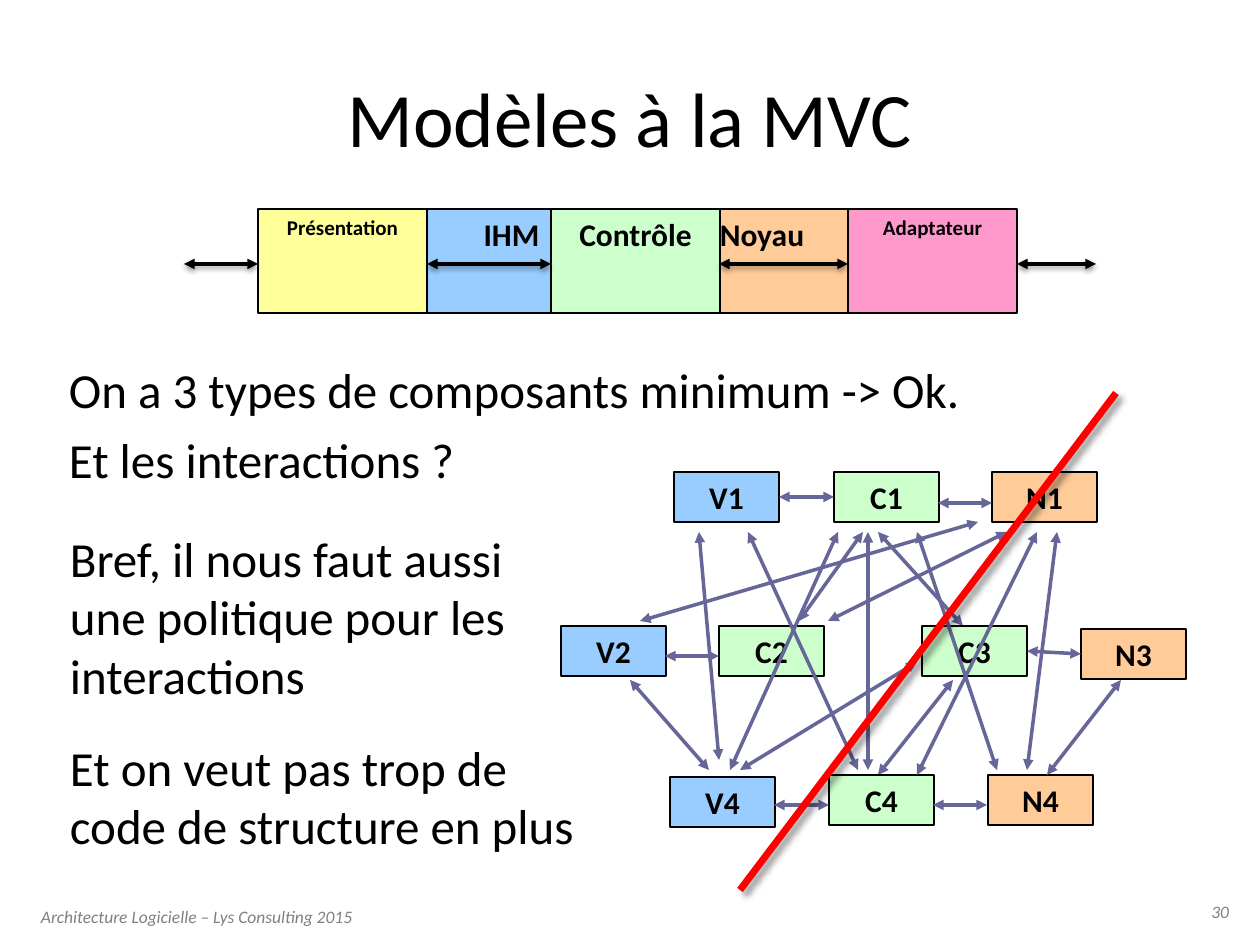
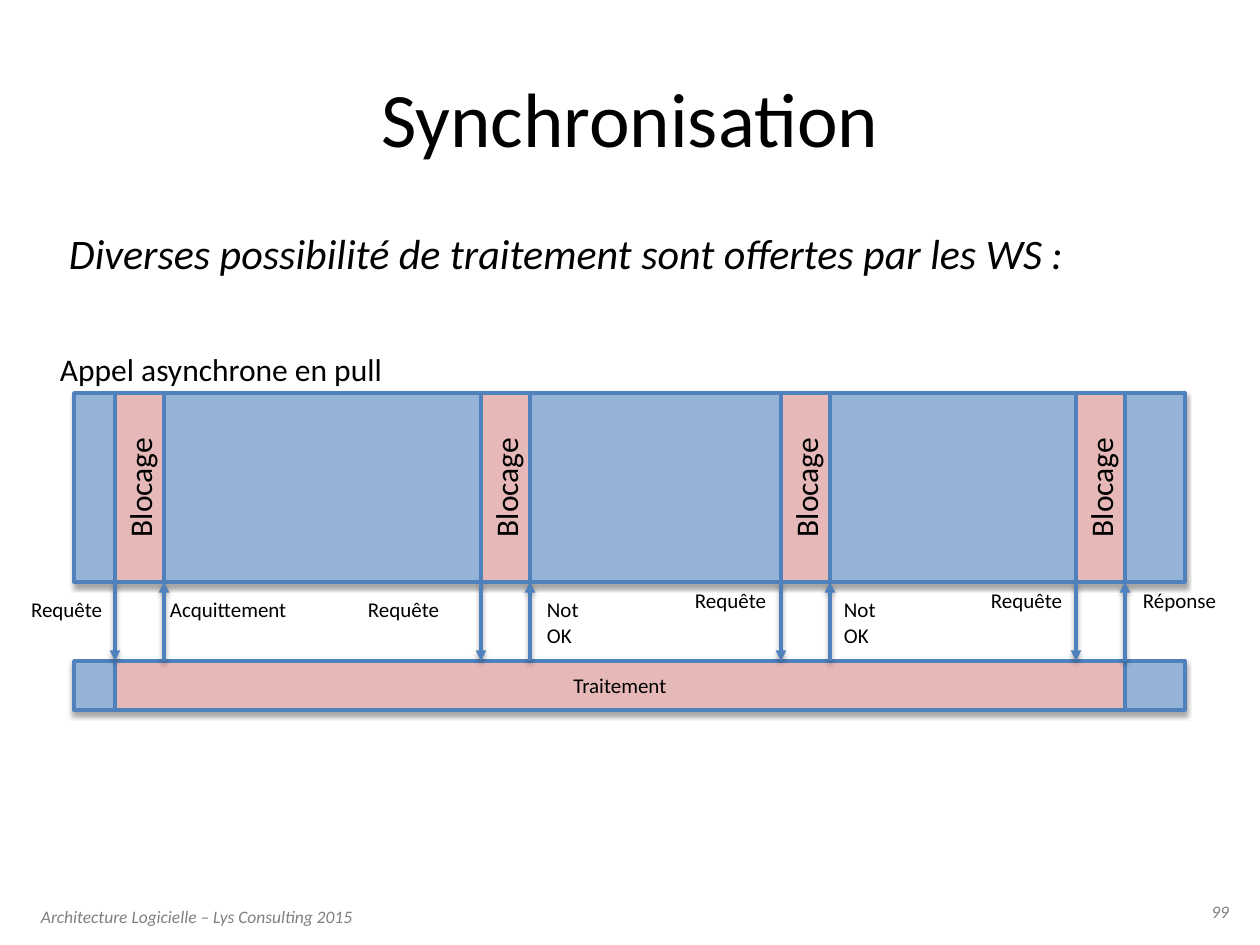
from lxml.etree import SubElement
from pptx import Presentation
from pptx.dml.color import RGBColor
from pptx.enum.shapes import MSO_CONNECTOR, MSO_SHAPE
from pptx.enum.text import MSO_ANCHOR, PP_ALIGN
from pptx.oxml.ns import qn
from pptx.util import Emu, Pt

EMU_PER_PX = 914400 / 126
FONT = "Calibri"
BLACK, GREY, RED = "000000", "808080", "FF0000"
YELLOW, BLUE, GREEN, ORANGE, PINK = "FFFF99", "99CCFF", "CCFFCC", "FFCC99", "FF99CC"
PURPLE = "666699"
STEEL, STEEL_LINE, ROSE = "95B3D7", "4F81BD", "E6B9B8"

# Shadows: opacity in percent, blur and distance in points, angle in degrees
ARROW_SHADOW = (38, 3, 1.6, 90)
STRIKE_SHADOW = (40, 4, 3, 45)
BAND_SHADOW = (35, 3, 1.8, 90)

RIGHT_SIDE, LEFT_SIDE = 3, 1


def px(length):
    return Emu(round(length * EMU_PER_PX))


def color(hex_string):
    return RGBColor.from_string(hex_string)


def write(frame, lines, size, tint=BLACK, bold=False, italic=False,
          align=PP_ALIGN.LEFT, anchor=MSO_ANCHOR.TOP, gap=0, inset=6):
    """Fill a text frame with one paragraph per line; gap is the space between them."""
    frame.word_wrap = True
    frame.vertical_anchor = anchor
    frame.margin_left = frame.margin_right = px(inset)
    frame.margin_top = frame.margin_bottom = px(inset)
    for index, line in enumerate(lines):
        paragraph = frame.add_paragraph() if index else frame.paragraphs[0]
        paragraph.alignment = align
        if index:
            paragraph.space_before = Pt(gap)
        run = paragraph.add_run()
        run.text = line
        run.font.name = FONT
        run.font.size = Pt(size)
        run.font.bold = bold
        run.font.italic = italic
        run.font.color.rgb = color(tint)


def add_text(slide, x, y, width, height, lines, size, **style):
    box = slide.shapes.add_textbox(px(x), px(y), px(width), px(height))
    write(box.text_frame, lines, size, **style)


def cast_shadow(effects, opacity, blur, distance, angle):
    shadow = SubElement(effects, qn("a:outerShdw"), blurRad=str(Pt(blur)),
                        dist=str(Pt(distance)), dir=str(angle * 60000),
                        algn="ctr", rotWithShape="0")
    tint = SubElement(shadow, qn("a:srgbClr"), val=BLACK)
    SubElement(tint, qn("a:alpha"), val=str(opacity * 1000))


def add_rect(slide, x, y, width, height, fill, line=BLACK, weight=0.75, shadow=None):
    rect = slide.shapes.add_shape(MSO_SHAPE.RECTANGLE, px(x), px(y), px(width), px(height))
    rect.fill.solid()
    rect.fill.fore_color.rgb = color(fill)
    rect.line.color.rgb = color(line)
    rect.line.width = Pt(weight)
    rect.shadow.inherit = False
    if shadow:
        cast_shadow(rect.element.spPr.find(qn("a:effectLst")), *shadow)
    return rect


def add_line(slide, start, end, tint, weight=2, arrows=("headEnd", "tailEnd"), shadow=None):
    line = slide.shapes.add_connector(
        MSO_CONNECTOR.STRAIGHT, *(px(value) for value in (*start, *end)))
    line.line.color.rgb = color(tint)
    line.line.width = Pt(weight)
    properties = line.element.spPr
    for arrow in arrows:
        SubElement(properties.find(qn("a:ln")), qn("a:" + arrow), type="triangle")
    effects = SubElement(properties, qn("a:effectLst"))
    if shadow:
        cast_shadow(effects, *shadow)
    return line


def add_base_slide(presentation, title, number):
    """Blank slide with the title, footer and page number that all slides share."""
    slide = presentation.slides.add_slide(presentation.slide_layouts[6])
    add_text(slide, 35, 900, 367, 40, ["Architecture Logicielle – Lys Consulting 2015"],
             10, tint=GREY, italic=True)
    add_text(slide, 1185, 895, 50, 32, [number], 10, tint=GREY, italic=True,
             align=PP_ALIGN.RIGHT)
    add_text(slide, 63, 38, 1134, 157, [title], 44, align=PP_ALIGN.CENTER,
             anchor=MSO_ANCHOR.MIDDLE)
    return slide


def add_layer_strip(slide, left, top):
    height, arrow_y = 104, top + 55
    layers = [
        ("IHM", 169, 169, BLUE, 18),
        ("Noyau", 417, 174, ORANGE, 18),
        ("Contrôle", 293, 169, GREEN, 18),
        ("Adaptateur", 590, 169, PINK, 12),
        ("Présentation", 0, 169, YELLOW, 12),
    ]
    for name, x, width, fill, size in layers:
        layer = add_rect(slide, left + x, top, width, height, fill)
        write(layer.text_frame, [name], size, bold=True, align=PP_ALIGN.CENTER)
    for start, end in [(-74, 0), (169, 293), (461, 590), (759, 838)]:
        add_line(slide, (left + start, arrow_y), (left + end, arrow_y), BLACK,
                 shadow=ARROW_SHADOW)


def add_interaction_web(slide, left, top):
    fills = {"V": BLUE, "C": GREEN, "N": ORANGE}
    places = {
        "V1": (113, 0), "C1": (273, 0), "N1": (431, 0),
        "V2": (0, 154), "C2": (158, 154), "C3": (361, 154), "N3": (520, 157),
        "V4": (109, 305), "C4": (268, 303), "N4": (427, 303),
    }
    links_behind = [
        (317, 60, 402, 154), (392, 208, 317, 303), (302, 60, 238, 149),
    ]
    links_in_front = [
        (431, 31, 377, 31), (426, 333, 372, 333), (268, 333, 213, 333),
        (158, 184, 104, 184), (69, 208, 148, 298), (356, 190, 179, 298),
        (446, 60, 267, 149), (560, 208, 486, 303), (496, 60, 466, 298),
        (79, 149, 417, 50), (187, 60, 297, 298), (476, 60, 356, 303),
        (138, 60, 158, 288), (277, 60, 169, 298), (307, 60, 307, 298),
        (356, 60, 436, 298),
    ]

    def add_links(links):
        for x1, y1, x2, y2 in links:
            add_line(slide, (left + x1, top + y1), (left + x2, top + y2), PURPLE)

    add_links(links_behind)
    components = {}
    for name, (x, y) in places.items():
        component = add_rect(slide, left + x, top + y, 105, 50, fills[name[0]])
        write(component.text_frame, [name], 18, bold=True, align=PP_ALIGN.CENTER)
        components[name] = component
    for source, target in [("V1", "C1"), ("C3", "N3")]:
        link = add_line(slide, (left, top), (left, top), PURPLE)
        link.begin_connect(components[source], RIGHT_SIDE)
        link.end_connect(components[target], LEFT_SIDE)
    add_links(links_in_front)
    add_line(slide, (left + 555, top - 79), (left + 179, top + 418), RED, weight=4,
             arrows=(), shadow=STRIKE_SHADOW)


def add_mvc_slide(presentation):
    slide = add_base_slide(presentation, "Modèles à la MVC", "30")
    add_text(slide, 63, 354, 1134, 179,
             ["On a 3 types de composants minimum -> Ok.", "Et les interactions ?"],
             28, gap=6)
    add_layer_strip(slide, 258, 209)
    add_text(slide, 64, 522, 515, 180,
             ["Bref, il nous faut aussi une politique pour les interactions"], 28)
    add_text(slide, 64, 731, 546, 180,
             ["Et on veut pas trop de code de structure en plus"], 28)
    add_interaction_web(slide, 561, 472)


def add_pull_timeline(slide, left, top):
    """Client band above, server band below, joined by request and answer arrows."""
    width, client_height, server_height, block_width = 1111, 189, 49, 49
    client_bottom, server_top = top + client_height, top + 268
    outline = {"line": STEEL_LINE, "weight": 2}
    centred = {"align": PP_ALIGN.CENTER, "anchor": MSO_ANCHOR.MIDDLE, "inset": 0}
    # block x, request x, answer lines, answer x, answer width, request y, answer y
    calls = [
        (41, -49, ["Acquittement"], 90, 149, 9, 9),
        (407, 288, ["Not", "OK"], 467, 149, 9, 9),
        (707, 615, ["Not", "OK"], 764, 149, 0, 9),
        (1002, 911, ["Réponse"], 1063, 110, 0, 0),
    ]
    add_rect(slide, left, top, width, client_height, STEEL, shadow=BAND_SHADOW, **outline)
    add_rect(slide, left, server_top, width, server_height, STEEL, shadow=BAND_SHADOW,
             **outline)
    first, last = calls[0][0], calls[-1][0] + block_width
    processing = add_rect(slide, left + first, server_top, last - first, server_height,
                          ROSE, **outline)
    write(processing.text_frame, ["Traitement"], 12, **centred)

    for block_x, request_x, answer, answer_x, answer_width, request_y, answer_y in calls:
        start = left + block_x
        end = start + block_width
        block = add_rect(slide, start, top, block_width, client_height, ROSE, **outline)
        write(block.text_frame, ["Blocage"], 18, **centred)
        block.text_frame._bodyPr.set("vert", "vert270")
        for tail, tip in [((start, client_bottom), (start, server_top)),
                          ((end, server_top), (end, client_bottom))]:
            add_line(slide, tail, tip, STEEL_LINE, arrows=("tailEnd",), shadow=BAND_SHADOW)
        add_text(slide, left + request_x, client_bottom + request_y, 110, 37,
                 ["Requête"], 12)
        add_text(slide, left + answer_x, client_bottom + answer_y, answer_width,
                 37 * len(answer), answer, 12)


def add_synchronisation_slide(presentation):
    slide = add_base_slide(presentation, "Synchronisation", "99")
    add_text(slide, 63, 221, 1134, 70,
             ["Diverses possibilité de traitement sont offertes par les WS :"],
             24, italic=True)
    add_text(slide, 54, 344, 456, 49, ["Appel asynchrone en pull"], 18)
    add_pull_timeline(slide, 74, 393)


def main():
    presentation = Presentation()
    presentation.slide_width, presentation.slide_height = px(1260), px(945)
    add_mvc_slide(presentation)
    add_synchronisation_slide(presentation)
    presentation.save("out.pptx")


if __name__ == "__main__":
    main()
